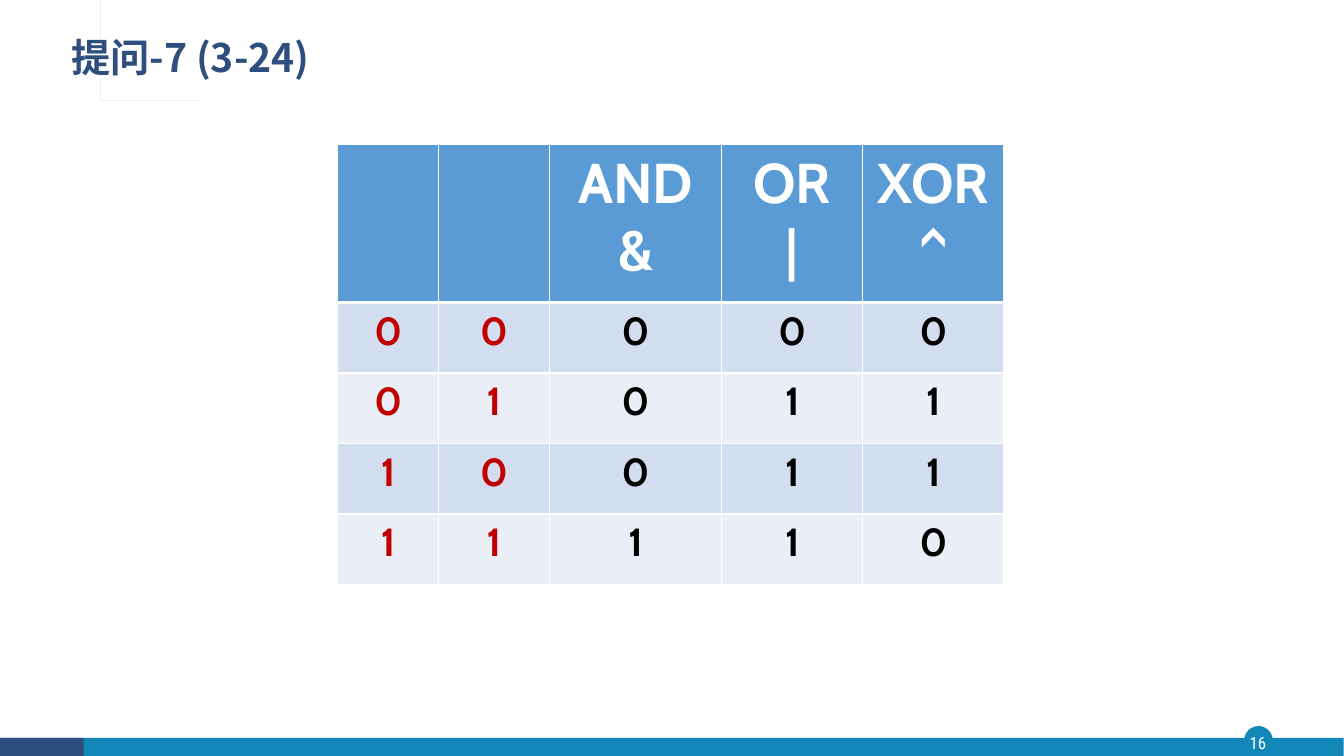
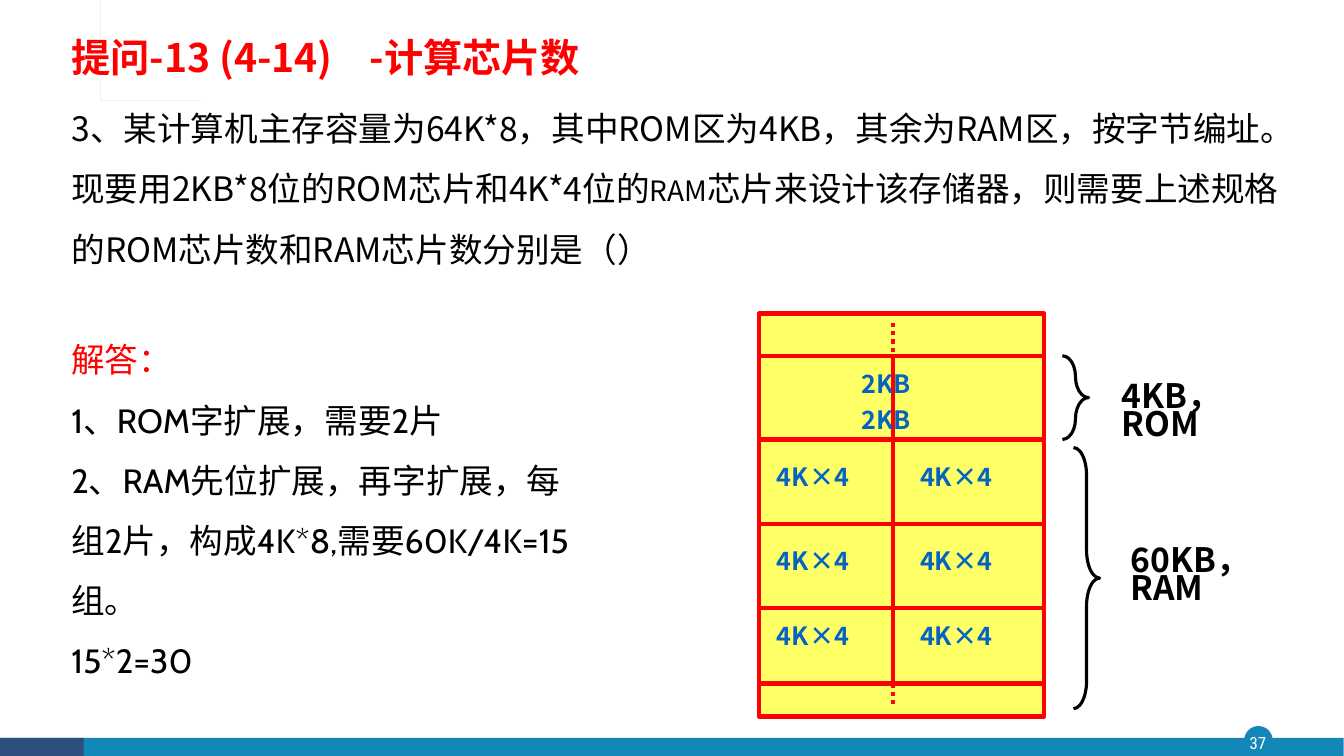
from lxml.etree import SubElement
from pptx import Presentation
from pptx.dml.color import RGBColor
from pptx.enum.dml import MSO_LINE_DASH_STYLE as DASH
from pptx.enum.shapes import MSO_CONNECTOR, MSO_SHAPE
from pptx.enum.text import MSO_ANCHOR as ANCHOR, PP_ALIGN as ALIGN
from pptx.oxml import parse_xml
from pptx.oxml.ns import nsdecls, qn
from pptx.util import Emu, Inches, Pt

WHITE = RGBColor(0xFF, 0xFF, 0xFF)
BLACK = RGBColor(0, 0, 0)
NAVY = RGBColor(0x2E, 0x4E, 0x7E)
TEAL = RGBColor(0x13, 0x87, 0xB7)
CYAN = RGBColor(0x28, 0xA9, 0xD6)
RED = RGBColor(0xFF, 0, 0)
CRIMSON = RGBColor(0xC0, 0, 0)
HEADER = RGBColor(0x5B, 0x9B, 0xD5)
BANDS = RGBColor(0xD2, 0xDE, 0xEF), RGBColor(0xEA, 0xEF, 0xF7)
YELLOW = RGBColor(0xFF, 0xFF, 0x66)
LABEL = RGBColor(0x05, 0x63, 0xC1)
SANS, LATIN, NUMBER = "Noto Sans CJK SC", "Cabin", "Roboto Condensed"

WIDTH, HEIGHT = 13.33, 7.5
MARGIN = 0.61
BODY_LEADING, LABEL_LEADING, TITLE_LEADING, TIGHT_LEADING = 43, 21.5, 30, 20

ORNAMENT = [(0.54, 0.39), (0.54, 0.85), (1.87, 0.85), (1.87, 0.87), (0.52, 0.87),
            (0.52, 0.41), (0.47, 0.41), (0.47, 0.87), (0.36, 0.87), (0.36, 0.39),
            (0.39, 0.39), (0.39, 0.84), (0.44, 0.84), (0.44, 0.39)]

TRUTH_HEAD = [[], [], ["AND", "&"], ["OR", "|"], ["XOR^"]]
TRUTH_ROWS = ["00000", "01011", "10011", "11110"]
TRUTH_COLS = [1, 1.1, 1.71, 1.4, 1.4]
TRUTH_HEIGHTS = [1.57] + [0.7] * len(TRUTH_ROWS)
INPUTS = 2

QUESTION = [[
    "3、某计算机主存容量为64K*8，其中ROM区为4KB，其余为RAM区，按字节编址。现要用2KB*8位的ROM芯片和4K*4位的",
    ("RAM", dict(size=20)),
    "芯片来设计该存储器，则需要上述规格的ROM芯片数和RAM芯片数分别是（）",
]]
ANSWER = [
    [("解答：", dict(font=SANS, color=RED))],
    "1、ROM字扩展，需要2片",
    "2、RAM先位扩展，再字扩展，每组2片，构成4K*8,需要60K/4K=15组。",
    "15*2=30",
]

MAP_LEFT, MAP_TOP, MAP_W, MAP_H = 7.53, 3.11, 2.83, 4
MAP_RIGHT, MAP_MID = MAP_LEFT + MAP_W, 8.86
MAP_ROWS = [3.53, 4.36, 5.2, 6.03, 6.78]
DOTS = [(3.2, MAP_ROWS[0]), (MAP_ROWS[-1], 7.03)]
ROM_TOPS = [3.61, 3.96]
RAM_LEFTS, RAM_TOPS = [7.61, 9.03], [4.53, 5.36, 6.11]
BRACES = [
    (10.54, 3.53, 0.83, "4KB，\vROM", 11.03, 3.79),
    (10.65, 4.44, 2.59, "60KB，\vRAM", 11.12, 5.42),
]


def inches(*values):
    return [Inches(v) for v in values]


def style(font, size, color, name, bold=False):
    font.size, font.bold, font.name = Pt(size), bold, name
    font.color.rgb = color


def write(tf, paras, size=24, color=BLACK, font=SANS, bold=False,
          align=ALIGN.LEFT, leading=None, tab=None):
    for i, para in enumerate(paras):
        p = tf.paragraphs[0] if i == 0 else tf.add_paragraph()
        p.alignment = align
        if leading:
            p.line_spacing = Pt(leading)
        if tab:
            tabs = SubElement(p._p.get_or_add_pPr(), qn("a:tabLst"))
            SubElement(tabs, qn("a:tab"), pos=str(Inches(tab)), algn="l")
        for part in [para] if isinstance(para, str) else para:
            text, own = (part, {}) if isinstance(part, str) else part
            for j, line in enumerate(text.split("\v")):
                if j:
                    p.add_line_break()
                r = p.add_run()
                r.text = line
                style(r.font, own.get("size", size), own.get("color", color),
                      own.get("font", font), bold)
                SubElement(r._r.get_or_add_rPr(), qn("a:ea"), typeface=SANS)


def add_text(s, box, paras, anchor=ANCHOR.TOP, inset=True, **fmt):
    tf = s.shapes.add_textbox(*inches(*box)).text_frame
    tf.word_wrap = True
    tf.vertical_anchor = anchor
    if not inset:
        tf.margin_left = tf.margin_right = tf.margin_top = tf.margin_bottom = 0
    write(tf, paras, **fmt)


def paint(sp, fill=None, line=None, width=1):
    sp.shadow.inherit = False
    if fill is None:
        sp.fill.background()
    else:
        sp.fill.solid()
        sp.fill.fore_color.rgb = fill
    if line is None:
        sp.line.fill.background()
    else:
        sp.line.color.rgb = line
        sp.line.width = Pt(width)
    return sp


def add_shape(s, kind, box, **look):
    return paint(s.shapes.add_shape(kind, *inches(*box)), **look)


def add_line(s, x1, y1, x2, y2, dash=None):
    line = s.shapes.add_connector(MSO_CONNECTOR.STRAIGHT, *inches(x1, y1, x2, y2))
    line.line.color.rgb = RED
    line.line.width = Pt(3)
    if dash:
        line.line.dash_style = dash
    SubElement(line._element.spPr, qn("a:effectLst"))


def add_slide(prs, title, number, color, **fmt):
    s = prs.slides.add_slide(prs.slide_layouts[6])
    add_shape(s, MSO_SHAPE.OVAL, (12.35, 7.21, 0.27, 0.27), fill=TEAL, line=TEAL)
    for left, width, fill in [(0, WIDTH, TEAL), (0, 0.83, NAVY)]:
        add_shape(s, MSO_SHAPE.RECTANGLE, (left, 7.32, width, HEIGHT - 7.32), fill=fill)
    add_text(s, (12.32, 7.21, 0.32, 0.31), [number], ANCHOR.MIDDLE, inset=False,
             size=12, color=WHITE, font=NUMBER, align=ALIGN.CENTER)
    builder = s.shapes.build_freeform(*ORNAMENT[0], scale=Inches(1))
    builder.add_line_segments(ORNAMENT[1:], close=True)
    paint(builder.convert_to_shape(), fill=CYAN)
    add_text(s, (MARGIN, 0.25, 11.5, 0.68), [title], ANCHOR.MIDDLE, size=28,
             color=color, bold=True, leading=TITLE_LEADING, **fmt)
    return s


def fill_cell(cell, paras, fill, bottom=1, **fmt):
    cell.fill.solid()
    cell.fill.fore_color.rgb = fill
    tcPr = cell._tc.get_or_add_tcPr()
    for i, (side, width) in enumerate(zip("LRTB", (1, 1, 1, bottom))):
        tcPr.insert(i, parse_xml(
            f'<a:ln{side} {nsdecls("a")} w="{Pt(width)}"><a:solidFill>'
            f'<a:srgbClr val="{WHITE}"/></a:solidFill></a:ln{side}>'))
    write(cell.text_frame, paras, font=LATIN, bold=True, align=ALIGN.CENTER, **fmt)


def truth_table(prs):
    s = add_slide(prs, "提问-7 (3-24)", "16", NAVY)
    box = inches(3.35, 1.43, sum(TRUTH_COLS), sum(TRUTH_HEIGHTS))
    table = s.shapes.add_table(len(TRUTH_HEIGHTS), len(TRUTH_COLS), *box).table
    for col, width in zip(table.columns, TRUTH_COLS):
        col.width = Inches(width)
    for row, height in zip(table.rows, TRUTH_HEIGHTS):
        row.height = Inches(height)
    for c, paras in enumerate(TRUTH_HEAD):
        fill_cell(table.cell(0, c), paras, HEADER, bottom=3, size=40, color=WHITE)
    for r, bits in enumerate(TRUTH_ROWS):
        for c, bit in enumerate(bits):
            fill_cell(table.cell(r + 1, c), [bit], BANDS[r % 2], size=28,
                      color=CRIMSON if c < INPUTS else BLACK)


def chip_count(prs):
    s = add_slide(prs, "提问-13 (4-14)\t-计算芯片数", "37", RED, tab=2.96)
    add_text(s, (MARGIN, 0.6, 12.39, 2.34), QUESTION, ANCHOR.MIDDLE, leading=BODY_LEADING)
    add_text(s, (MARGIN, 3.12, 5.3, 4.14), ANSWER, font=LATIN, leading=BODY_LEADING)

    add_shape(s, MSO_SHAPE.RECTANGLE, (MAP_LEFT, MAP_TOP, MAP_W, MAP_H),
              fill=YELLOW, line=RED, width=3)
    for y in MAP_ROWS:
        add_line(s, MAP_LEFT, y, MAP_RIGHT, y)
    add_line(s, MAP_MID, MAP_ROWS[0], MAP_MID, MAP_ROWS[-1])
    for top, bottom in DOTS:
        add_line(s, MAP_MID, top, MAP_MID, bottom, dash=DASH.ROUND_DOT)

    label = dict(size=18, color=LABEL, bold=True, leading=LABEL_LEADING)
    for top in RAM_TOPS:
        for left in RAM_LEFTS:
            add_text(s, (left, top, 1.33, 0.4), ["4K×4"], **label)
    for top in ROM_TOPS:
        add_text(s, (7.57, top, 2.44, 0.4), ["2KB"], align=ALIGN.CENTER, **label)

    for left, top, height, text, text_left, text_top in BRACES:
        brace = add_shape(s, MSO_SHAPE.RIGHT_BRACE, (left, top, 0.26, height),
                          line=BLACK, width=2.25)
        brace.adjustments[0] = 1.06
        add_text(s, (text_left, text_top, 2.08, 0.66), [text], bold=True,
                 leading=TIGHT_LEADING)


def main():
    prs = Presentation()
    prs.slide_width, prs.slide_height = Emu(12192000), Inches(HEIGHT)
    truth_table(prs)
    chip_count(prs)
    prs.save("out.pptx")


if __name__ == "__main__":
    main()
